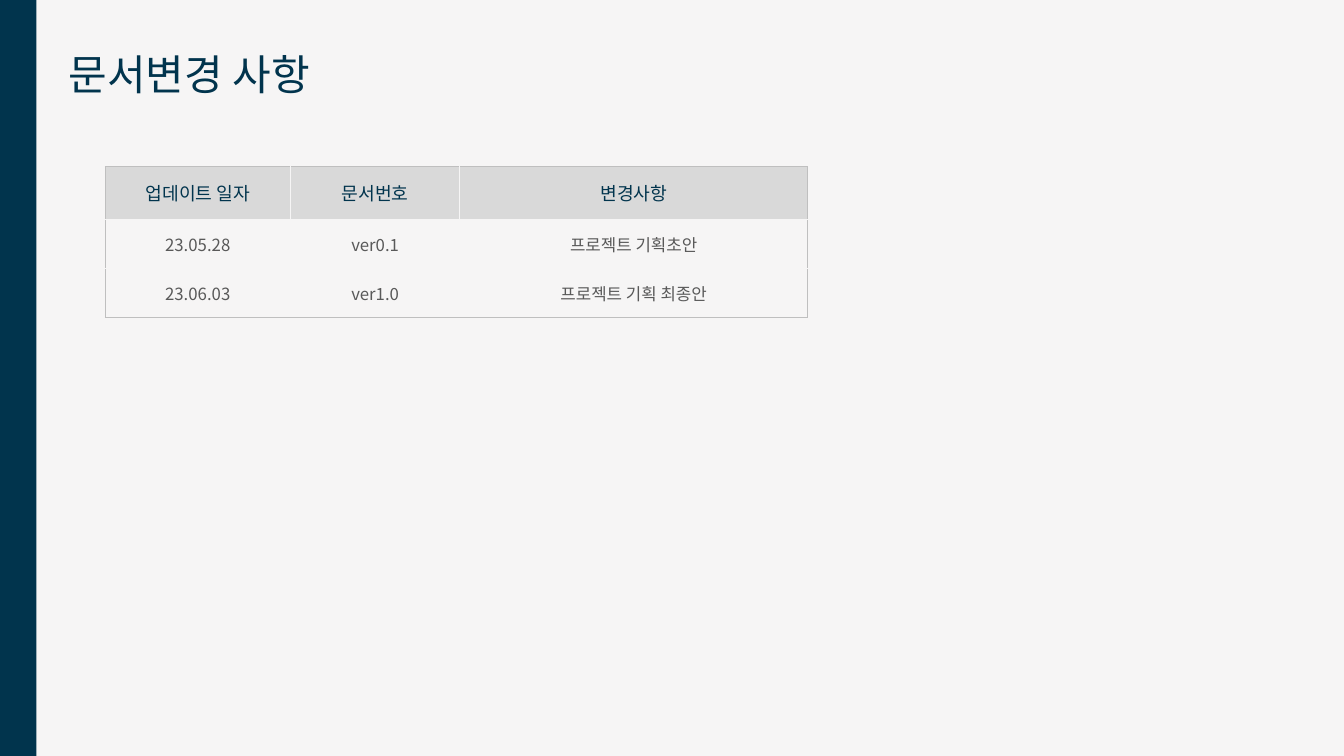
"""Build the document change history slide."""
from dataclasses import dataclass

from lxml.etree import SubElement as Sub
from pptx import Presentation
from pptx.dml.color import RGBColor as RGB
from pptx.enum.shapes import MSO_SHAPE as Shape
from pptx.enum.text import MSO_ANCHOR as Anchor, MSO_AUTO_SIZE as Fit, PP_ALIGN as Align
from pptx.oxml.ns import qn
from pptx.util import Pt

NAVY = RGB(0x01, 0x34, 0x4D)
PAPER = RGB(0xF6, 0xF5, 0xF5)
HEAD = RGB(0xD9, 0xD9, 0xD9)
EDGE = RGB(0xBF, 0xBF, 0xBF)
GREY = RGB(0x59, 0x59, 0x59)
FONT = "Noto Sans CJK KR"
WIDTHS = (132.5, 121, 248.4)


@dataclass
class Row:
    """One table row and its look."""
    texts: tuple[str, str, str]
    height: float = 35
    size: float = 12
    ink: RGB = GREY
    fill: RGB = PAPER


ROWS = (
    Row(("업데이트 일자", "문서번호", "변경사항"), 38, 13, NAVY, HEAD),
    Row(("23.05.28", "ver0.1", "프로젝트 기획초안")),
    Row(("23.06.03", "ver1.0", "프로젝트 기획 최종안")),
)


def write(frame, text: str, size: float, ink: RGB, align: Align) -> None:
    """Put one formatted line of text in a frame."""
    line = frame.paragraphs[0]
    line.alignment = align
    run = line.add_run()
    run.text = text
    for key, value in {"name": FONT, "size": Pt(size), "bold": False}.items():
        setattr(run.font, key, value)
    run.font.color.rgb = ink
    Sub(run.font._element, qn("a:ea"), typeface=FONT)


def border(cell, outer: dict[str, bool]) -> None:
    """Draw thin grey outer edges and paper-coloured inner edges."""
    props = cell._tc.get_or_add_tcPr()
    for spot, (side, out) in enumerate(outer.items()):
        line = Sub(props, qn(f"a:ln{side}"), w=str(Pt(0.25 if out else 1)))
        fill = Sub(line, qn("a:solidFill"))
        Sub(fill, qn("a:srgbClr"), val=str(EDGE if out else PAPER))
        props.insert(spot, line)


def add_log(slide) -> None:
    """Add the table of document changes."""
    high = sum(row.height for row in ROWS)
    table = slide.shapes.add_table(len(ROWS), len(WIDTHS), Pt(75), Pt(118.8),
                                   Pt(sum(WIDTHS)), Pt(high)).table
    table.horz_banding = False
    for col, width in zip(table.columns, WIDTHS):
        col.width = Pt(width)
    for r, row in enumerate(ROWS):
        table.rows[r].height = Pt(row.height)
        for c, text in enumerate(row.texts):
            cell = table.cell(r, c)
            cell.vertical_anchor = Anchor.MIDDLE
            cell.fill.solid()
            cell.fill.fore_color.rgb = row.fill
            write(cell.text_frame, text, row.size, row.ink, Align.CENTER)
            border(cell, {"L": c == 0, "R": c == len(WIDTHS) - 1,
                          "T": r == 0, "B": r == len(ROWS) - 1})


def main() -> None:
    """Build and save the slide."""
    deck = Presentation()
    deck.slide_width, deck.slide_height = Pt(960), Pt(540)
    slide = deck.slides.add_slide(deck.slide_layouts[5])
    back = slide.background.fill
    back.solid()
    back.fore_color.rgb = PAPER

    bar = slide.shapes.add_shape(Shape.RECTANGLE, 0, 0, Pt(26), Pt(540))
    bar.shadow.inherit = False
    bar.fill.solid()
    bar.fill.fore_color.rgb = NAVY
    bar.line.fill.background()

    title = slide.shapes.title
    place = {"left": 41.8, "top": 31, "width": 306, "height": 44}
    for key, value in place.items():
        setattr(title, key, Pt(value))
    look = {"vertical_anchor": Anchor.MIDDLE, "auto_size": Fit.NONE, "word_wrap": True}
    for key, value in look.items():
        setattr(title.text_frame, key, value)
    write(title.text_frame, "문서변경 사항", 30, NAVY, Align.LEFT)

    add_log(slide)
    deck.save("out.pptx")


if __name__ == "__main__":
    main()
